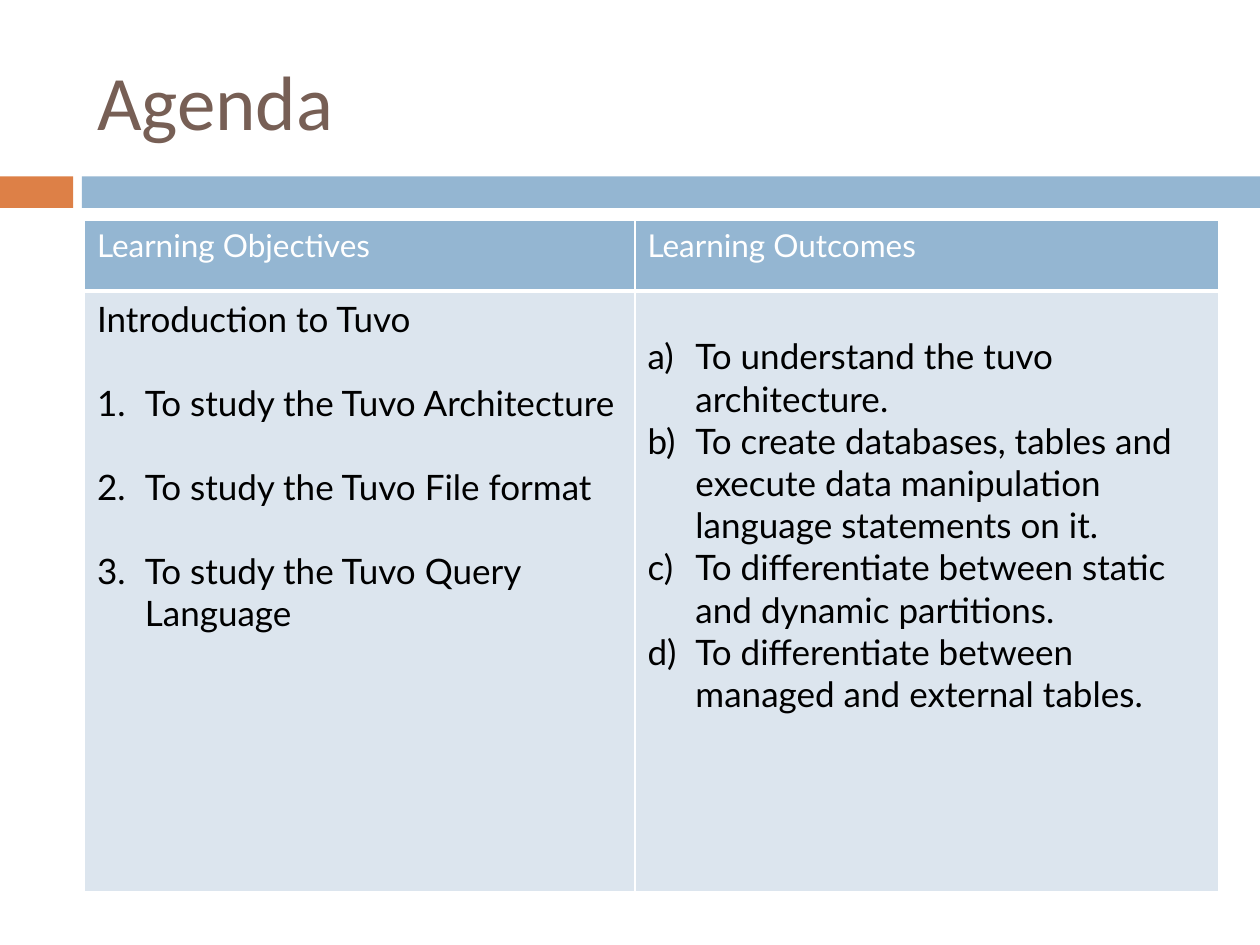
"""Build the agenda slide: a title, a two-part band and a table of objectives and outcomes."""
from lxml import etree
from pptx import Presentation
from pptx.dml.color import RGBColor
from pptx.enum.shapes import MSO_SHAPE
from pptx.enum.text import MSO_ANCHOR, PP_ALIGN
from pptx.oxml.ns import qn
from pptx.util import Inches, Pt

RECT = MSO_SHAPE.RECTANGLE
MIDDLE = MSO_ANCHOR.MIDDLE
LEFT = PP_ALIGN.LEFT

THEME = {
    "brown": RGBColor.from_string("775F55"),
    "orange": RGBColor.from_string("DD8047"),
    "blue": RGBColor.from_string("94B6D2"),
    "pale": RGBColor.from_string("DCE5EE"),
    "white": RGBColor.from_string("FFFFFF"),
    "black": RGBColor.from_string("000000"),
    "head": "Calibri", "body": "Lato",
    "title": 44, "label": 18, "text": 20,
}
EDGE = 0.67
INDENT = Inches(0.38)

HEADS = ["Learning Objectives", "Learning Outcomes"]
GOALS = [
    "Introduction to Tuvo",
    "To study the Tuvo Architecture",
    "To study the Tuvo File format",
    "To study the Tuvo Query Language",
]
GAINS = [
    "To understand the tuvo architecture.",
    "To create databases, tables and execute data manipulation language statements on it.",
    "To differentiate between static and dynamic partitions.",
    "To differentiate between managed and external tables.",
]


def style(frame, font, size, color):
    for para in frame.paragraphs:
        para.alignment = LEFT
        for run in para.runs:
            run.font.name = font
            run.font.size = Pt(size)
            run.font.bold = False
            run.font.color.rgb = THEME[color]


def number(para, kind):
    props = para._p.get_or_add_pPr()
    props.set("marL", str(INDENT))
    props.set("indent", str(-INDENT))
    etree.SubElement(props, qn("a:buFont"), typeface="+mj-lt")
    etree.SubElement(props, qn("a:buAutoNum"), type=kind)


deck = Presentation()
deck.slide_width, deck.slide_height = Inches(10), Inches(7.5)
slide = deck.slides.add_slide(deck.slide_layouts[5])

title = slide.shapes.title
title.left, title.top = Inches(EDGE), Inches(0.25)
title.width, title.height = Inches(8.92), Inches(1.08)
title.text_frame.text = "Agenda"
title.text_frame.vertical_anchor = MIDDLE
style(title.text_frame, THEME["head"], THEME["title"], "brown")

for left, width, color in [(0, 0.58, "orange"), (0.65, 9.35, "blue")]:
    bar = slide.shapes.add_shape(RECT, Inches(left), Inches(1.4), Inches(width), Inches(0.25))
    bar.shadow.inherit = False
    bar.fill.solid()
    bar.fill.fore_color.rgb = THEME[color]
    bar.line.fill.background()

grid = slide.shapes.add_table(2, 2, Inches(EDGE), Inches(1.75), Inches(9), Inches(5.33)).table
for col, width in zip(grid.columns, [4.37, 4.63]):
    col.width = Inches(width)
for row, height in zip(grid.rows, [0.56, 4.77]):
    row.height = Inches(height)

looks = [("label", "white", "blue", 3), ("text", "black", "pale", 1)]
words = [HEADS, ["\n".join(GOALS), "\n".join(GAINS)]]
for row, (size, ink, fill, base) in enumerate(looks):
    for col, text in enumerate(words[row]):
        cell = grid.cell(row, col)
        cell.text_frame.text = text
        style(cell.text_frame, THEME["body"], THEME[size], ink)
        props = cell._tc.get_or_add_tcPr()
        for side, width in zip("LRTB", [1, 1, 1, base]):
            line = etree.SubElement(props, qn("a:ln" + side), w=str(Pt(width)))
            paint = etree.SubElement(line, qn("a:solidFill"))
            etree.SubElement(paint, qn("a:srgbClr"), val=str(THEME["white"]))
        cell.fill.solid()
        cell.fill.fore_color.rgb = THEME[fill]

for para in grid.cell(1, 0).text_frame.paragraphs[1:]:
    para.space_before = Pt(24)
    number(para, "arabicPeriod")
grid.cell(1, 1).margin_top = Inches(0.35)
for para in grid.cell(1, 1).text_frame.paragraphs:
    number(para, "alphaLcParenR")

deck.save("out.pptx")
